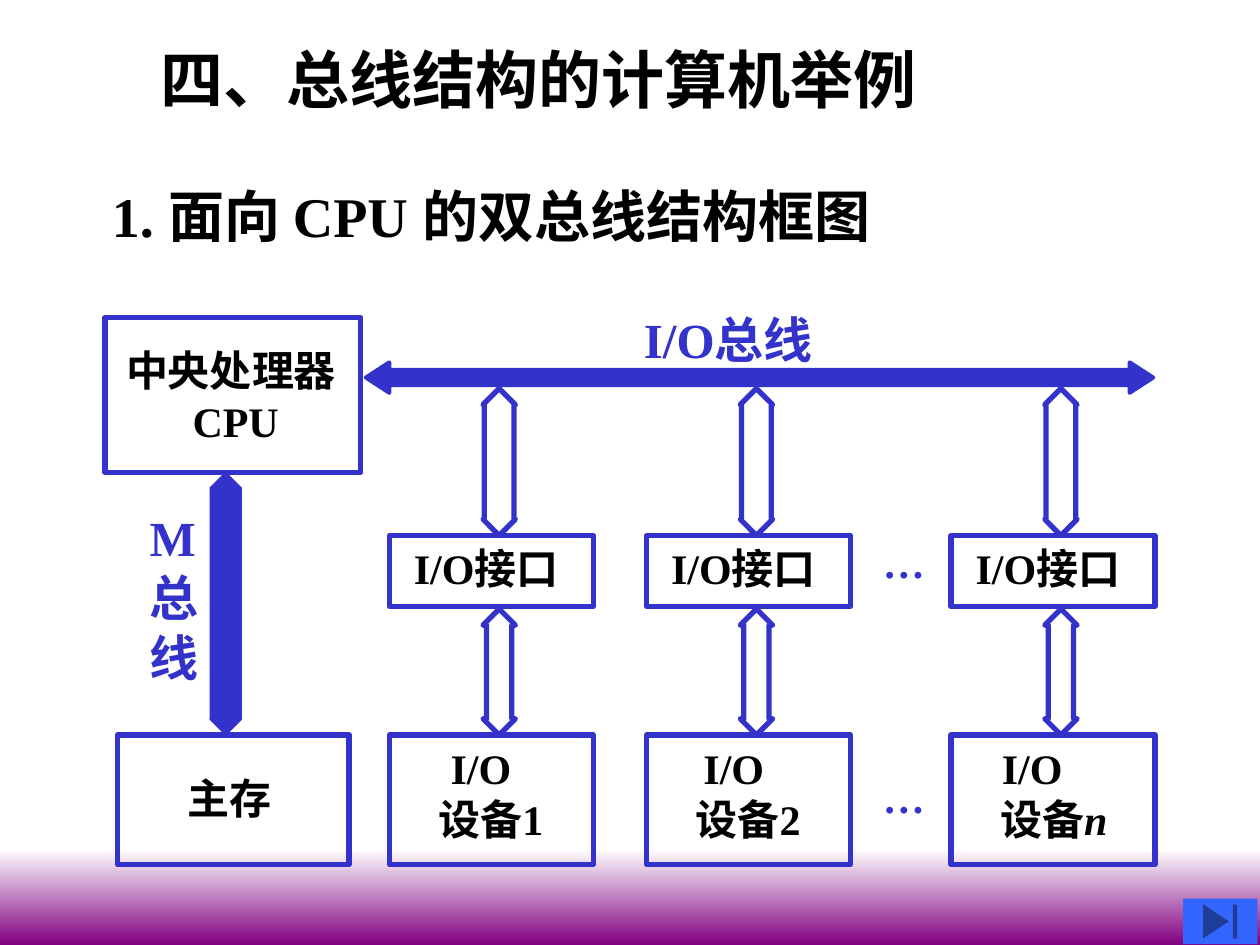
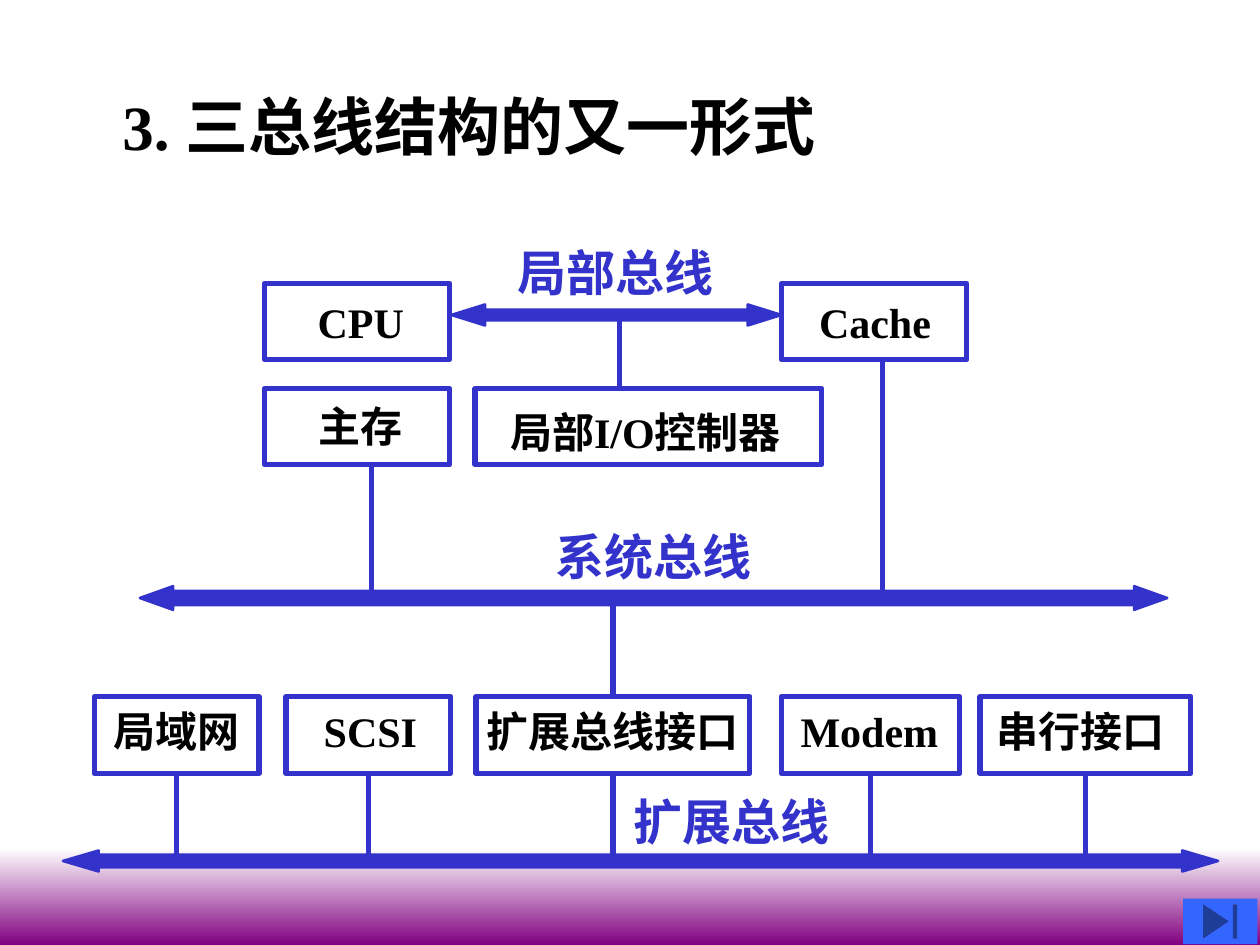
from lxml import etree
from pptx import Presentation
from pptx.dml import color
from pptx.enum import shapes, text
from pptx.oxml import ns
from pptx.util import Pt

TIMES, NOTO = "Times New Roman", "Noto Sans CJK SC"
BLUE, BLACK = "3333CC", "000000"
KIND = shapes.MSO_SHAPE
tint = color.RGBColor.from_string


def draw(page, kind, area, fill=None, line=None, width=3, adjust=()):
    """Add a preset shape, without fill or line unless they are given."""
    shape = page.shapes.add_shape(kind, *map(Pt, area))
    shape.shadow.inherit = False
    shape.fill.background()
    shape.line.fill.background()
    if fill:
        shape.fill.solid()
        shape.fill.fore_color.rgb = tint(fill)
    if line:
        shape.line.color.rgb = tint(line)
        shape.line.width = Pt(width)
    for i, value in enumerate(adjust):
        shape.adjustments[i] = value
    return shape


def write(shape, top, rows, size=24, ink=BLACK, face=TIMES, anchor="TOP"):
    """Fill a shape with rows, each an indent followed by its runs."""
    frame = shape.text_frame
    frame.word_wrap = True
    frame.vertical_anchor = text.MSO_ANCHOR[anchor]
    frame.margin_left = frame.margin_right = frame.margin_bottom = 0
    frame.margin_top = Pt(top)
    for i, (indent, *parts) in enumerate(rows):
        para = frame.add_paragraph() if i else frame.paragraphs[0]
        para.alignment = text.PP_ALIGN.LEFT
        para.line_spacing = Pt(round(size * 1.22, 1))
        para._p.get_or_add_pPr().set("marL", str(Pt(indent)))
        for part in parts:
            run = para.add_run()
            run.text = part
            font = run.font
            font.name, font.size, font.bold = face, Pt(size), True
            font.color.rgb = tint(ink)
            if part == "n":
                font.italic = True
            east = etree.SubElement(font._element, ns.qn("a:ea"))
            east.set("typeface", NOTO)


deck = Presentation()
deck.slide_width, deck.slide_height = Pt(720), Pt(540)
blank = deck.slide_layouts[6]
dual, triple = [deck.slides.add_slide(blank) for _ in range(2)]

# Shared bottom band and button
for page in (dual, triple):
    band = draw(page, KIND.RECTANGLE, (0, 485, 720, 55))
    band.fill.gradient()
    band.fill.gradient_angle = 270
    for stop, (place, shade) in zip(band.fill.gradient_stops,
                                    [(0, "FFFFFF"), (1, "800080")]):
        stop.position = place
        stop.color.rgb = tint(shade)
    draw(page, KIND.ACTION_BUTTON_END, (676, 513.5, 42.5, 26), "3366FF")

# Titles
for page, x, y, size, words in [
    (dual, 91.5, 22.5, 36, "四、总线结构的计算机举例"),
    (dual, 64, 103, 32, "1. 面向 CPU 的双总线结构框图"),
    (triple, 70, 49, 36, "3. 三总线结构的又一形式"),
]:
    title = page.shapes.add_textbox(Pt(x), Pt(y), Pt(520), Pt(44))
    write(title, 0, [(0, words)], size)

# Bus names and dots
for page, x, y, size, face, words in [
    (dual, 368, 176.5, 28, TIMES, ["I/O", "总线"]),
    (triple, 317.5, 300, 28, NOTO, ["系统总线"]),
    (triple, 296, 138, 28, NOTO, ["局部总线"]),
    (triple, 362, 451.5, 28, NOTO, ["扩展总线"]),
    (dual, 504.5, 306, 24, TIMES, ["…"]),
    (dual, 504.5, 440.5, 24, TIMES, ["…"]),
]:
    label = page.shapes.add_textbox(Pt(x), Pt(y), Pt(130), Pt(34))
    write(label, 0, [(0, *words)], size, BLUE, face)
label = dual.shapes.add_textbox(Pt(85.5), Pt(289.5), Pt(34), Pt(101))
write(label, 0, [(0, "M"), (0, "总"), (0, "线")], 28, BLUE)

# Dual bus: processor, memory and their buses
cpu = draw(dual, KIND.RECTANGLE, (60, 181.5, 146, 88.5), None, BLUE)
write(cpu, 0, [(12, "中央处理器"), (50, "CPU")], anchor="MIDDLE")
store = draw(dual, KIND.RECTANGLE, (67, 420, 132.5, 74), None, BLUE)
write(store, 21, [(40, "主存")])
draw(dual, KIND.LEFT_RIGHT_ARROW, (209, 207, 450, 17.5),
     BLUE, BLUE, 2.25, (0.5, 0.77))
draw(dual, KIND.UP_DOWN_ARROW, (120, 270, 18, 150),
     BLUE, BLUE, 0.75, (0.5, 0.98))

# Dual bus: one column per device
for x, indent, mark in [(222.5, 35, "1"), (369.5, 32.5, "2"),
                        (543.5, 29, "n")]:
    port = draw(dual, KIND.RECTANGLE, (x, 306, 116.5, 40.5), None, BLUE)
    write(port, 3.5, [(14, "I/O", "接口")])
    unit = draw(dual, KIND.RECTANGLE, (x, 420, 116.5, 74), None, BLUE)
    write(unit, 3.5, [(indent, "I/O"), (28, "设备", mark)])
    for y, tall, head in [(222, 84, 0.92), (348, 72, 0.78)]:
        draw(dual, KIND.UP_DOWN_ARROW, (x + 53.5, y, 18.5, tall),
             None, BLUE, 3, (0.5, head))

# Triple bus: horizontal buses
for x, y, wide, tall, shaft, head in [
    (258, 174, 188.5, 12, 0.5, 1.6),
    (80, 335, 587, 13.5, 0.6, 1.4),
    (36, 486, 660, 12, 0.6, 1.7),
]:
    draw(triple, KIND.LEFT_RIGHT_ARROW, (x, y, wide, tall),
         BLUE, BLUE, 1.5, (shaft, head))

# Triple bus: upper and lower boxes
for x, y, wide, top, indent, face, *words in [
    (151, 162, 106, 7, 30.5, TIMES, "CPU"),
    (446.5, 162, 106, 7, 21.5, TIMES, "Cache"),
    (151, 222, 106, 6.5, 31, NOTO, "主存"),
    (271.5, 222, 198, 10, 20, TIMES, "局部", "I/O", "控制器"),
]:
    box = draw(triple, KIND.RECTANGLE, (x, y, wide, 43.5), None, BLUE)
    write(box, top, [(indent, *words)], face=face)

ports = []
for x, wide, indent, face, words in [
    (54, 94, 11, NOTO, "局域网"),
    (163.5, 94, 21.5, TIMES, "SCSI"),
    (272, 156.5, 6, NOTO, "扩展总线接口"),
    (446.5, 102, 11, TIMES, "Modem"),
    (560, 120.5, 9.5, NOTO, "串行接口"),
]:
    box = draw(triple, KIND.RECTANGLE, (x, 398, wide, 44), None, BLUE)
    write(box, 4.5, [(indent, words)], face=face)
    ports.append((x + wide / 2, box))

# Triple bus: links as x, start, end, box joined at start, box joined at end
links = [(212.5, 265.5, 342, None, None), (504.5, 205.5, 342, None, None),
         (354, 180, 222, None, None), (ports[2][0], 342, 398, None, ports[2][1])]
links += [(x, 442, 492, box, None) for x, box in ports]
for x, start, end, above, below in links:
    link = triple.shapes.add_connector(
        shapes.MSO_CONNECTOR.STRAIGHT, Pt(x), Pt(start), Pt(x), Pt(end))
    link.line.color.rgb = tint(BLUE)
    link.line.width = Pt(3)
    etree.SubElement(link._element.spPr, ns.qn("a:effectLst"))
    if above:
        link.begin_connect(above, 2)
    if below:
        link.end_connect(below, 0)

deck.save("out.pptx")
